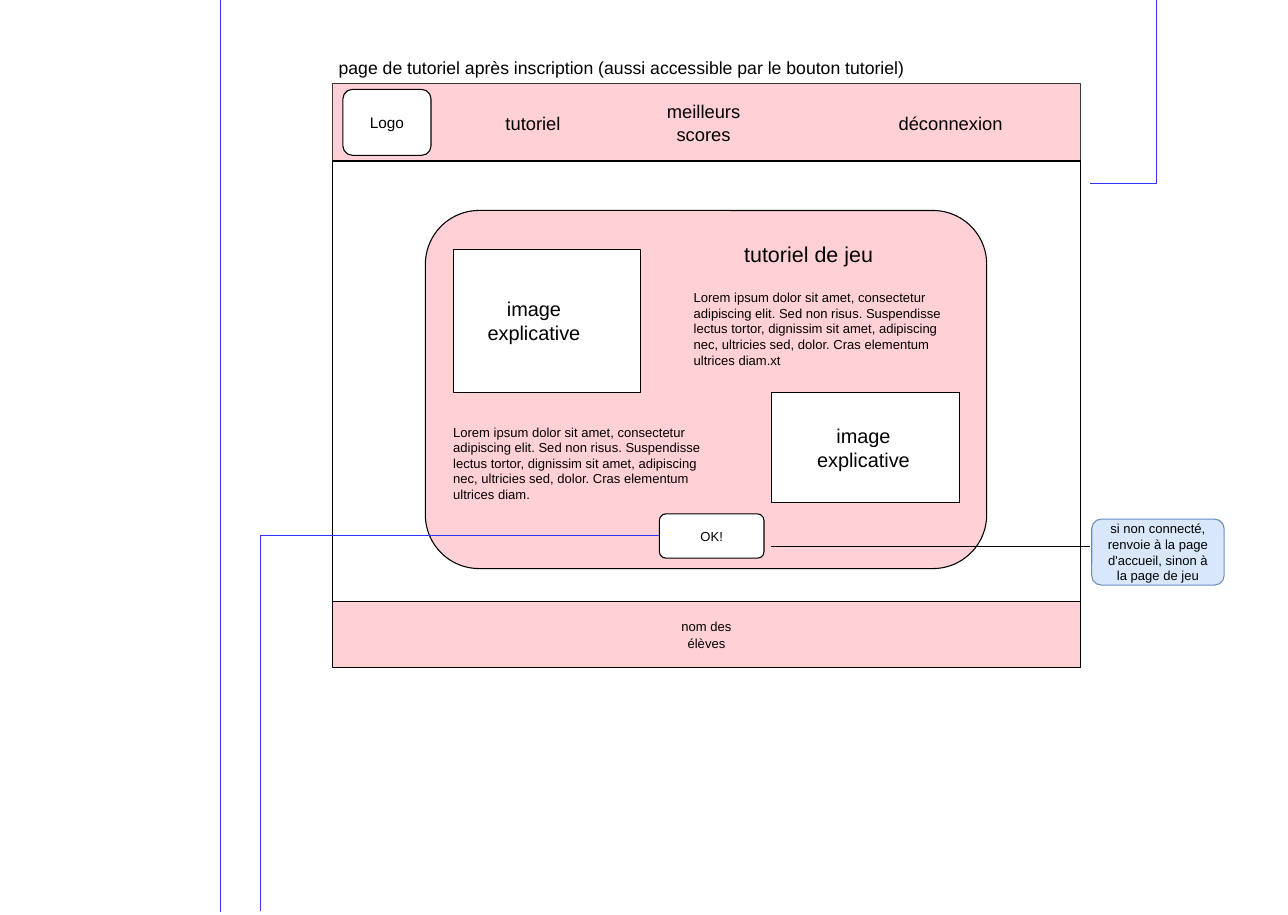
"""Build the wireframe slide of the tutorial page shown after sign-up."""
from lxml.etree import SubElement
from pptx import Presentation
from pptx.dml.color import RGBColor
from pptx.enum.shapes import MSO_CONNECTOR, MSO_SHAPE as SHAPE
from pptx.enum.text import MSO_ANCHOR as ANCHOR, MSO_AUTO_SIZE as AUTO, PP_ALIGN as ALIGN
from pptx.oxml.ns import qn
from pptx.util import Cm, Pt

PINK = RGBColor(0xFF, 0xD0, 0xD6)
WHITE = RGBColor(0xFF, 0xFF, 0xFF)
BLACK = RGBColor(0x00, 0x00, 0x00)
GREY = RGBColor(0x36, 0x38, 0x3C)
PALE_BLUE = RGBColor(0xD9, 0xE7, 0xFB)
STEEL = RGBColor(0x6B, 0x8E, 0xBE)
BLUE = RGBColor(0x33, 0x33, 0xFF)
LINE = Pt(0.72)

LOREM = ("Lorem ipsum dolor sit amet, consectetur adipiscing elit. Sed non risus. "
         "Suspendisse lectus tortor, dignissim sit amet, adipiscing nec, ultricies sed, "
         "dolor. Cras elementum ultrices ")


def write(sp, text, size, align=ALIGN.CENTER, spacing=1.0, wrap=True):
    tf = sp.text_frame
    tf.text = text
    tf.auto_size = AUTO.NONE
    tf.word_wrap = wrap
    tf.vertical_anchor = ANCHOR.MIDDLE
    tf.margin_left = tf.margin_right = tf.margin_top = tf.margin_bottom = 0
    for p in tf.paragraphs:
        p.alignment = align
        p.line_spacing = spacing
        p.space_before = Pt(0)
        for r in p.runs:
            r.font.name = "Arial"
            r.font.size = Pt(size)
            r.font.color.rgb = BLACK


def add_box(x, y, w, h, fill, line=BLACK, radius=0):
    kind = SHAPE.ROUNDED_RECTANGLE if radius else SHAPE.RECTANGLE
    sp = s.shapes.add_shape(kind, Cm(x), Cm(y), Cm(w), Cm(h))
    if radius:
        sp.adjustments[0] = radius / min(w, h)
    sp.shadow.inherit = False
    sp.fill.solid()
    sp.fill.fore_color.rgb = fill
    sp.line.color.rgb = line
    sp.line.width = LINE
    return sp


prs = Presentation()
prs.slide_width, prs.slide_height = Cm(29.67), Cm(21.08)
s = prs.slides.add_slide(prs.slide_layouts[5])

title = s.shapes.title
title.left, title.top, title.width, title.height = Cm(7.8), Cm(1.27), Cm(17), Cm(0.56)
write(title, "page de tutoriel après inscription (aussi accessible par le bouton tutoriel)",
      11.5, ALIGN.LEFT)

page_x, page_w = 7.65, 17.25
header_y, header_h = 1.93, 1.78
add_box(page_x, header_y, page_w, header_h, PINK, GREY)
add_box(page_x, 3.71, page_w, 10.15, WHITE)
footer = add_box(page_x, 13.86, page_w, 1.52, PINK)
write(footer, "nom des\vélèves", 8.5, spacing=1.06)

logo = add_box(7.9, 2.06, 2.03, 1.52, WHITE, radius=0.22)
write(logo, "Logo", 10)

menu = [("tutoriel", 12.28), ("meilleurs\vscores", 16.21), ("déconnexion", 21.9)]
for text, center in menu:
    item = s.shapes.add_textbox(Cm(center - 1.5), Cm(header_y), Cm(3), Cm(header_h))
    write(item, text, 12, spacing=1.05)

add_box(9.8, 4.85, 12.93, 8.25, PINK, radius=1.24)
for x, y, h, shift in [(10.44, 5.74, 3.3, 0.3), (17.78, 9.04, 2.54, 0.05)]:
    image = add_box(x, y, 4.32, h, WHITE)
    write(image, "image\vexplicative", 13)
    image.text_frame.margin_right = Cm(2 * shift)

heading = s.shapes.add_textbox(Cm(16.63), Cm(5.5), Cm(4), Cm(0.7))
write(heading, "tutoriel de jeu", 14)
for x, y, ending in [(15.98, 6.63, "diam.xt"), (10.44, 9.73, "diam.")]:
    body = s.shapes.add_textbox(Cm(x), Cm(y), Cm(5.84), Cm(1.88))
    write(body, LOREM + ending, 8.5, ALIGN.LEFT)

ok_button = add_box(15.19, 11.84, 2.41, 1.02, WHITE, radius=0.15)
write(ok_button, "OK!", 8.5)

callout = add_box(25.15, 11.96, 3.05, 1.52, PALE_BLUE, STEEL, radius=0.22)
write(callout, "si non connecté, renvoie à la page d'accueil, sinon à la page de jeu", 8.5)
callout.text_frame.margin_left = callout.text_frame.margin_right = Cm(0.3)

elbows = [
    [(26.64, 0), (26.64, 4.22), (25.1, 4.22)],
    [(15.19, 12.34), (6, 12.34), (6, 21)],
]
for start, *others in elbows:
    builder = s.shapes.build_freeform(Cm(start[0]), Cm(start[1]))
    builder.add_line_segments([(Cm(x), Cm(y)) for x, y in others], close=False)
    elbow = builder.convert_to_shape()
    elbow.shadow.inherit = False
    elbow.fill.background()
    elbow.line.color.rgb = BLUE
    elbow.line.width = LINE

for x1, y1, x2, y2, color in [(25.1, 12.58, 17.75, 12.58, BLACK), (5.08, 0, 5.08, 21, BLUE)]:
    link = s.shapes.add_connector(MSO_CONNECTOR.STRAIGHT, Cm(x1), Cm(y1), Cm(x2), Cm(y2))
    link.line.color.rgb = color
    link.line.width = LINE
    SubElement(link._element.spPr, qn("a:effectLst"))

prs.save("out.pptx")
